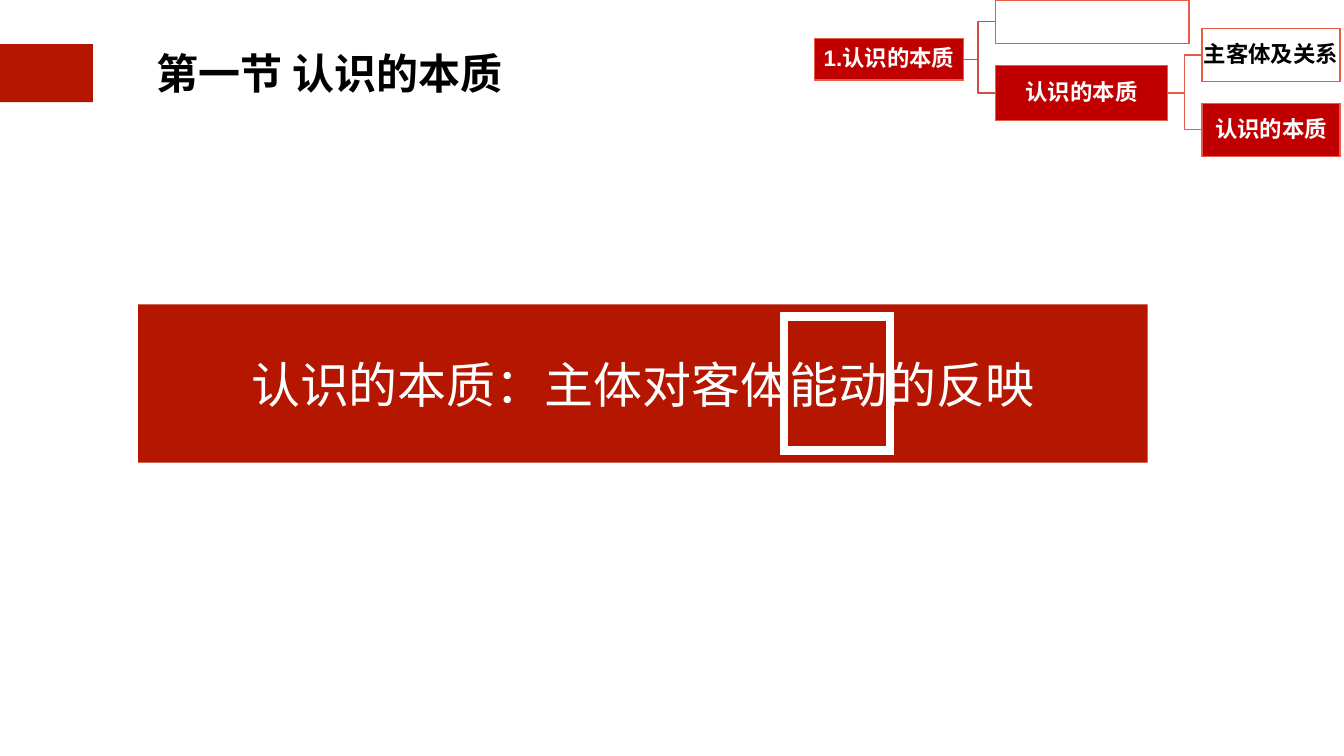
from dataclasses import dataclass

from lxml import etree
from pptx import Presentation, util as u
from pptx.dml.color import RGBColor
from pptx.enum import shapes, text
from pptx.oxml.ns import qn


@dataclass(frozen=True)
class Theme:
    red: str = "B51600"
    node_red: str = "C00000"
    node_line: str = "E75B47"
    root_line: str = "CC503E"
    white: str = "FFFFFF"
    black: str = "000000"
    latin: str = "Arial"
    chinese: str = "Noto Sans CJK SC"
    title_size: int = 60
    banner_size: int = 70
    node_size: int = 32


THEME = Theme()


def points(*values):
    return [u.Pt(value) for value in values]


def add_rectangle(slide, box, fill=None, line=None, width=2):
    shape = slide.shapes.add_shape(shapes.MSO_SHAPE.RECTANGLE, *points(*box))
    shape.shadow.inherit = False
    if fill:
        shape.fill.solid()
        shape.fill.fore_color.rgb = RGBColor.from_string(fill)
    else:
        shape.fill.background()
    if line:
        shape.line.color.rgb = RGBColor.from_string(line)
        shape.line.width = u.Pt(width)
        etree.SubElement(shape.line._get_or_add_ln(), qn("a:miter"), lim="800000")
    else:
        shape.line.fill.background()
    return shape


def write(shape, words, size, color, font, bold=False, margin=0, wrap=True):
    frame = shape.text_frame
    frame.word_wrap = wrap
    frame.auto_size = text.MSO_AUTO_SIZE.NONE
    frame.vertical_anchor = text.MSO_ANCHOR.MIDDLE
    frame.margin_left = frame.margin_right = u.Pt(margin)
    frame.margin_top = frame.margin_bottom = u.Pt(margin)
    paragraph = frame.paragraphs[0]
    paragraph.alignment = text.PP_ALIGN.CENTER
    run = paragraph.add_run()
    run.text = words
    run.font.name = font
    run.font.size = u.Pt(size)
    run.font.bold = bold
    run.font.color.rgb = RGBColor.from_string(color)
    # East Asian characters need their own typeface
    east_asian = etree.Element(qn("a:ea"), typeface=THEME.chinese)
    run.font._element.find(qn("a:latin")).addnext(east_asian)
    return paragraph


def add_heading(slide, box):
    left, top, width, height = box
    add_rectangle(slide, (left, top + 5, 134.6, 83), THEME.red)
    title = slide.shapes.title
    title.left, title.top, title.width, title.height = points(
        left + 220, top, width - 220, height)
    paragraph = write(title, "第一节 认识的本质", THEME.title_size, THEME.black,
                      THEME.latin, bold=True, margin=4, wrap=False)
    paragraph.line_spacing = 1


def add_banner(slide, box):
    left, top = box[:2]
    banner = add_rectangle(slide, box, THEME.red)
    write(banner, "认识的本质：主体对客体能动的反映", THEME.banner_size,
          THEME.white, THEME.chinese)
    # Frame around the key word
    add_rectangle(slide, (left + 922.3, top + 17.3, 152, 191.5),
                  line=THEME.white, width=12)


def add_branch(slide, parent, child, color):
    """Draw an elbow from the parent's right side to the child's left side."""
    start_x, start_y = parent[0] + parent[2], parent[1] + parent[3] / 2
    end_x, end_y = child[0], child[1] + child[3] / 2
    bend = end_x - 25
    builder = slide.shapes.build_freeform(*points(start_x, start_y))
    builder.add_line_segments(
        [points(bend, start_y), points(bend, end_y), points(end_x, end_y)],
        close=False)
    branch = builder.convert_to_shape()
    branch.shadow.inherit = False
    branch.fill.background()
    branch.line.color.rgb = RGBColor.from_string(color)
    branch.line.width = u.Pt(2)


def add_tree(slide, box):
    left, top = box[:2]
    second, third = 258.5, 553.7  # column offsets
    # name: (relative box, words, filled)
    nodes = {
        "root": ((0, 54.7, 213.1, 59.8), "1.认识的本质", True),
        "blank": ((second, 0, 276.5, 62), "", False),
        "essence": ((second, 93.6, 246.2, 78.5), "认识的本质", True),
        "relation": ((third, 41, 197.3, 75.6), "主客体及关系", False),
        "current": ((third, 147.6, 197.3, 75.6), "认识的本质", True),
    }
    places = {name: (left + x, top + y, width, height)
              for name, ((x, y, width, height), _, _) in nodes.items()}
    for parent, child, color in (
            ("essence", "current", THEME.node_line),
            ("essence", "relation", THEME.node_line),
            ("root", "essence", THEME.root_line),
            ("root", "blank", THEME.root_line)):
        add_branch(slide, places[parent], places[child], color)
    for name, (_, words, filled) in nodes.items():
        node = add_rectangle(slide, places[name],
                             THEME.node_red if filled else None, THEME.node_line)
        if words:
            paragraph = write(node, words, THEME.node_size,
                              THEME.white if filled else THEME.black,
                              THEME.latin, bold=True, margin=1.5)
            paragraph.line_spacing = 0.9


def main():
    presentation = Presentation()
    presentation.slide_width, presentation.slide_height = points(1920, 1080)
    slide = presentation.slides.add_slide(presentation.slide_layouts[5])
    add_heading(slide, (-2, 58, 725.5, 92))
    add_banner(slide, (197.3, 434.9, 1442.2, 226))
    add_tree(slide, (1163.5, 0, 751, 223.2))
    presentation.save("out.pptx")


if __name__ == "__main__":
    main()
